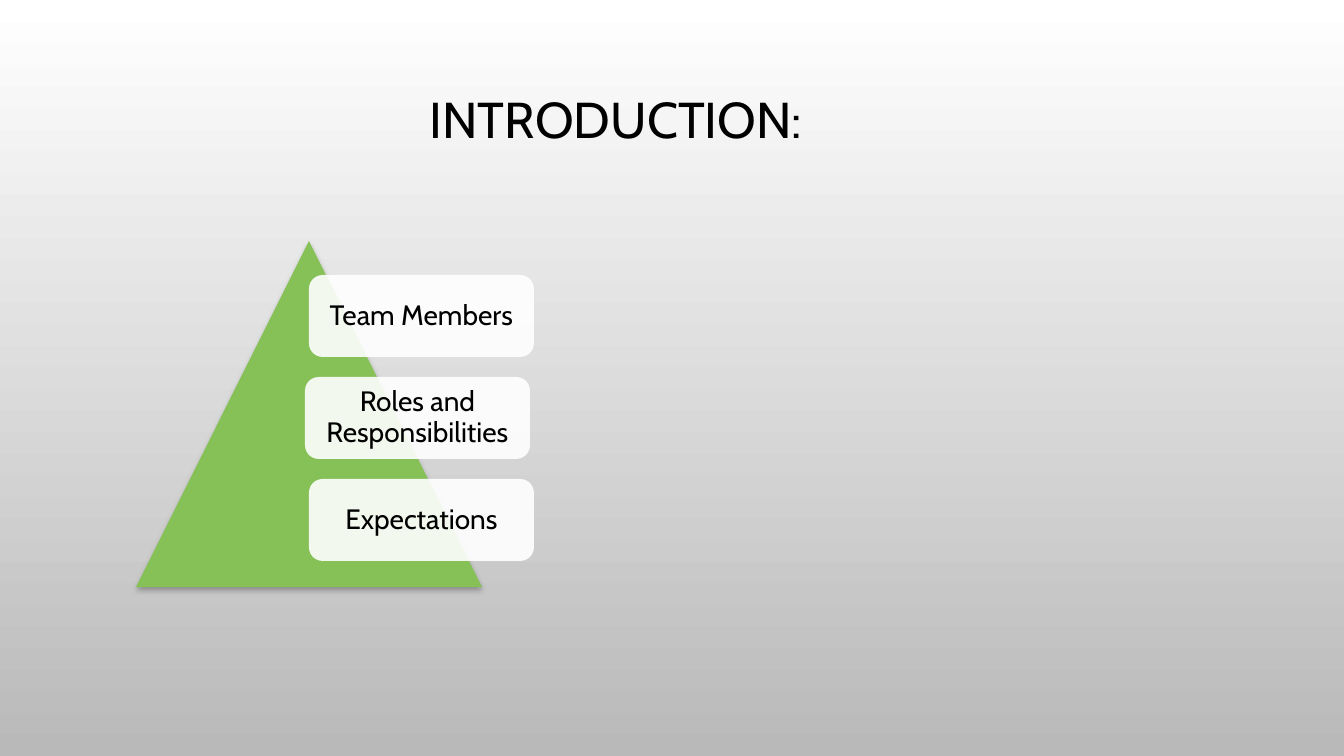
from lxml.etree import SubElement
from pptx import Presentation
from pptx.dml.color import RGBColor
from pptx.enum.shapes import MSO_SHAPE
from pptx.enum.text import MSO_ANCHOR, PP_ALIGN
from pptx.oxml.ns import qn
from pptx.util import Emu, Pt

WHITE = RGBColor(0xFF, 0xFF, 0xFF)
GRAY = RGBColor(0xB9, 0xB9, 0xB9)
BLACK = RGBColor(0, 0, 0)
GREEN = RGBColor(0x86, 0xC1, 0x57)

TOPICS = ["Team Members", "Roles and Responsibilities", "Expectations"]
TOPIC_LEFTS = [309, 305, 309]
TOPIC_TOP, TOPIC_PITCH = 275, 102


def px(n):
    return Emu(round(n * 914400 / 100.8))


class Deck:
    font = "Cabin"

    def __init__(self, width, height):
        self.prs = Presentation()
        self.prs.slide_width, self.prs.slide_height = px(width), px(height)
        self.slide = self.prs.slides.add_slide(self.prs.slide_layouts[6])

    def background(self, top, bottom):
        fill = self.slide.background.fill
        fill.gradient()
        fill.gradient_angle = 270
        for stop, color in zip(fill.gradient_stops, (top, bottom)):
            stop.color.rgb = color

    def set_text(self, sp, text, size, inset):
        tf = sp.text_frame
        tf.text = text
        tf.word_wrap = True
        tf.vertical_anchor = MSO_ANCHOR.MIDDLE
        tf.margin_left = tf.margin_right = px(inset)
        tf.margin_top = tf.margin_bottom = px(inset)
        p = tf.paragraphs[0]
        p.alignment = PP_ALIGN.CENTER
        p.line_spacing = 0.9
        font = p.runs[0].font
        font.name, font.size, font.color.rgb = self.font, Pt(size), BLACK

    def title(self, text, *box):
        sp = self.slide.shapes.add_textbox(*map(px, box))
        self.set_text(sp, text, 36, 8)

    def shape(self, kind, color, *box):
        sp = self.slide.shapes.add_shape(kind, *map(px, box))
        sp.shadow.inherit = False
        sp.fill.solid()
        sp.fill.fore_color.rgb = color
        sp.line.fill.background()
        return sp

    def triangle(self, *box):
        """Green triangle with a soft shadow below it."""
        sp = self.shape(MSO_SHAPE.ISOSCELES_TRIANGLE, GREEN, *box)
        effects = sp._element.spPr.find(qn("a:effectLst"))
        shadow = SubElement(effects, qn("a:outerShdw"), blurRad=str(Pt(4)),
                            dist=str(Pt(2)), dir="5400000", rotWithShape="0")
        color = SubElement(shadow, qn("a:srgbClr"), val=str(BLACK))
        SubElement(color, qn("a:alpha"), val="28000")

    def topic(self, text, *box):
        """Rounded white label, 90 % opaque."""
        sp = self.shape(MSO_SHAPE.ROUNDED_RECTANGLE, WHITE, *box)
        color = sp._element.spPr.find(qn("a:solidFill"))[0]
        SubElement(color, qn("a:alpha"), val="90000")
        self.set_text(sp, text, 20, 12)


def main():
    deck = Deck(1344, 756)
    deck.background(WHITE, GRAY)
    deck.title("INTRODUCTION:", 45, 34, 1142, 176)
    deck.triangle(136, 241, 346, 346)
    for i, (text, left) in enumerate(zip(TOPICS, TOPIC_LEFTS)):
        deck.topic(text, left, TOPIC_TOP + i * TOPIC_PITCH, 225, 82)
    deck.prs.save("out.pptx")


if __name__ == "__main__":
    main()
